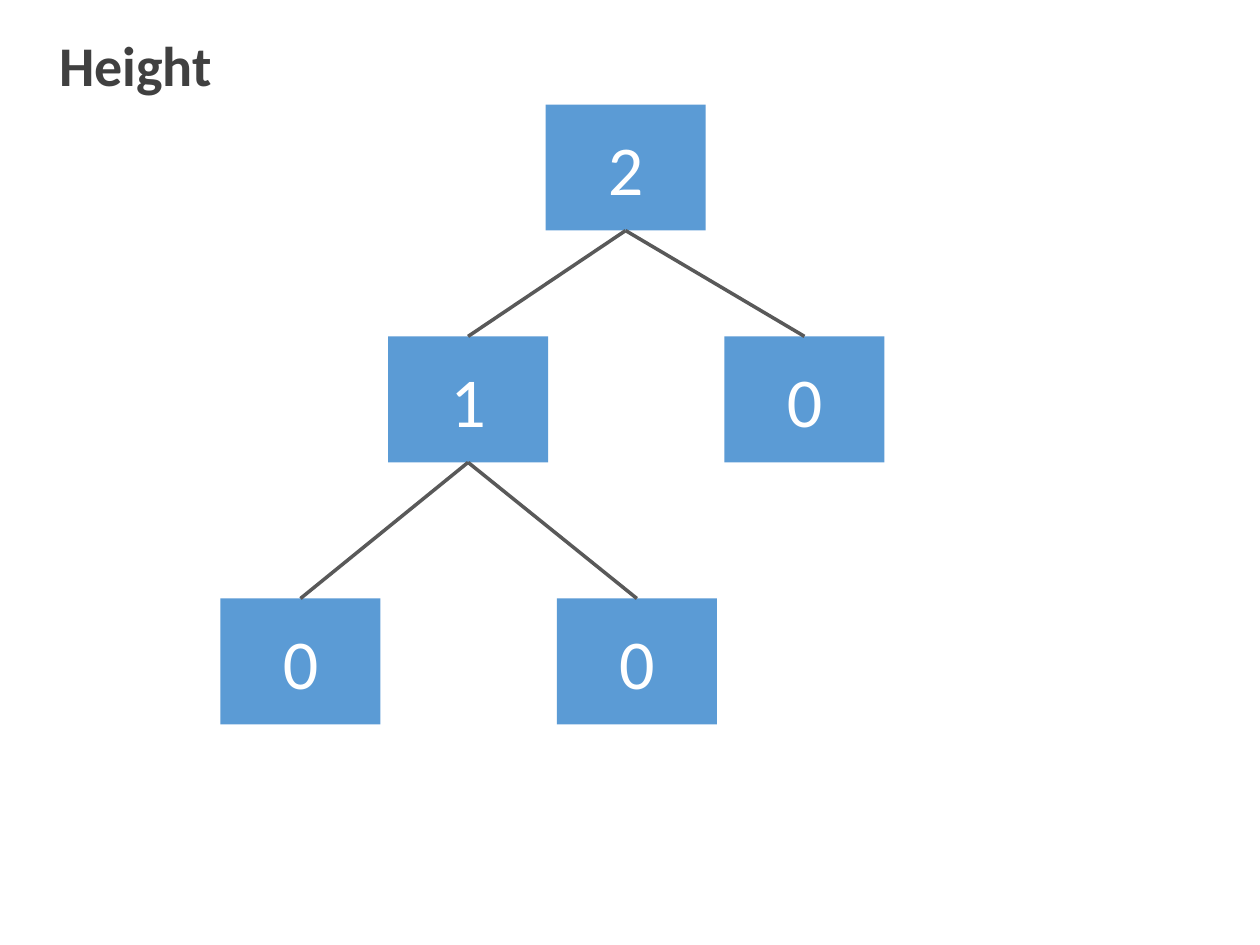
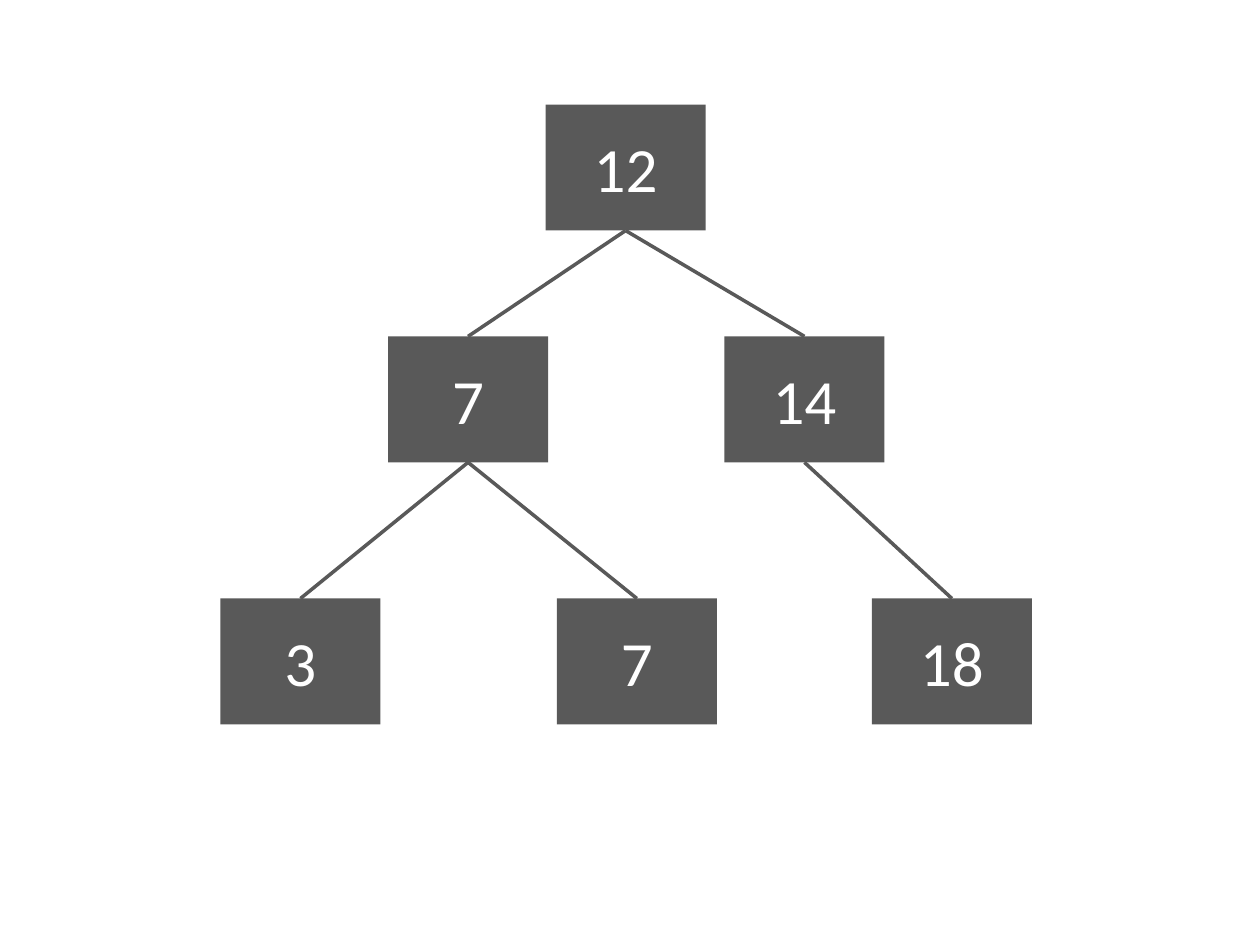
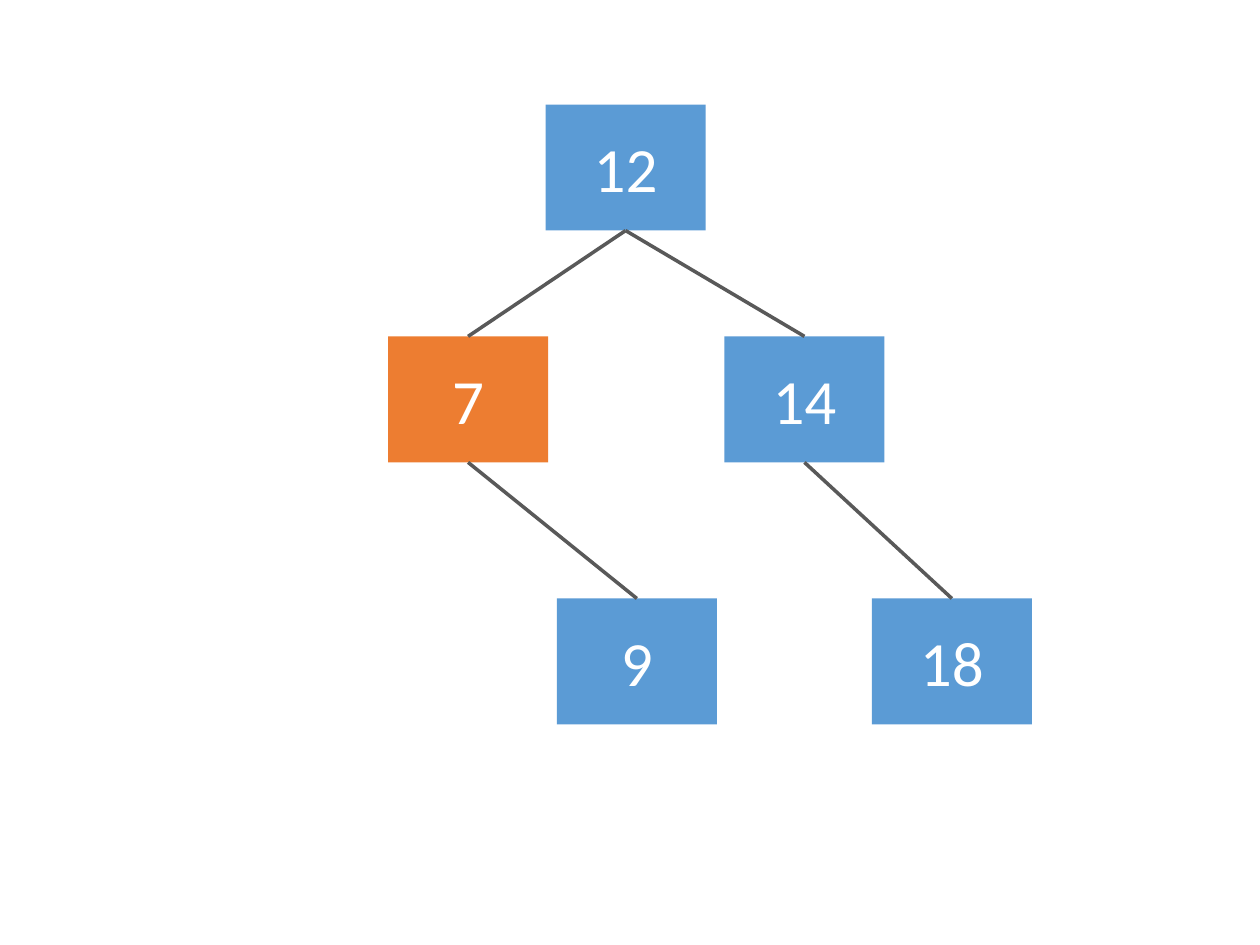
import dataclasses

import lxml.etree
import pptx
import pptx.dml.color
import pptx.enum.shapes
import pptx.enum.text
import pptx.oxml.ns
import pptx.util

Inches = pptx.util.Inches
Pt = pptx.util.Pt

FONT = "Calibri"
COLORS = {
    "blue": "5B9BD5",
    "orange": "ED7D31",
    "gray": "595959",
    "title": "404040",
    "white": "FFFFFF",
}

# Node size, and the left and top of each place in the tree
WIDTH, HEIGHT = Inches(1.27), Inches(1)
SPOTS = {
    "root": (4.33, 0.83),
    "left": (3.08, 2.67),
    "right": (5.75, 2.67),
    "left.left": (1.75, 4.75),
    "left.right": (4.42, 4.75),
    "right.right": (6.92, 4.75),
}
# Connection sites of a rectangle
TOP, BOTTOM = 0, 2


@dataclasses.dataclass
class Tree:
    nodes: dict[str, str]
    size: int
    color: str
    title: str = ""
    marked: str = ""


TREES = [
    Tree({"root": "2", "left": "1", "right": "0",
          "left.left": "0", "left.right": "0"}, 40, "blue", title="Height"),
    Tree({"root": "12", "left": "7", "right": "14",
          "left.left": "3", "left.right": "7", "right.right": "18"}, 36, "gray"),
    Tree({"root": "12", "left": "7", "right": "14",
          "left.right": "9", "right.right": "18"}, 36, "blue", marked="left"),
]


def rgb(name: str) -> pptx.dml.color.RGBColor:
    return pptx.dml.color.RGBColor.from_string(COLORS[name])


def write(frame, text: str, size: int, color: str, bold: bool = False) -> None:
    frame.text = text
    font = frame.paragraphs[0].runs[0].font
    font.name, font.size, font.bold = FONT, Pt(size), bold
    font.color.rgb = rgb(color)


def add_title(slide, text: str) -> None:
    box = slide.shapes.add_textbox(
        Inches(0.37), Inches(0.19), Inches(1.88), Inches(0.64))
    box.text_frame.word_wrap = True
    write(box.text_frame, text, 32, "title", bold=True)


def add_node(slide, spot: str, text: str, size: int, color: str):
    left, top = SPOTS[spot]
    node = slide.shapes.add_shape(
        pptx.enum.shapes.MSO_SHAPE.RECTANGLE,
        Inches(left), Inches(top), WIDTH, HEIGHT)
    node.shadow.inherit = False
    node.fill.solid()
    node.fill.fore_color.rgb = rgb(color)
    node.line.fill.background()
    frame = node.text_frame
    frame.vertical_anchor = pptx.enum.text.MSO_ANCHOR.MIDDLE
    write(frame, text, size, "white")
    frame.paragraphs[0].alignment = pptx.enum.text.PP_ALIGN.CENTER
    return node


def add_edge(slide, parent, child) -> None:
    edge = slide.shapes.add_connector(
        pptx.enum.shapes.MSO_CONNECTOR.STRAIGHT, 0, 0, 0, 0)
    edge.begin_connect(parent, BOTTOM)
    edge.end_connect(child, TOP)
    edge.line.color.rgb = rgb("gray")
    edge.line.width = Pt(2)
    # An empty effect list removes the shadow
    lxml.etree.SubElement(
        edge._element.spPr, pptx.oxml.ns.qn("a:effectLst"))


def draw_tree(slide, tree: Tree) -> None:
    nodes = {
        spot: add_node(slide, spot, text, tree.size,
                       "orange" if spot == tree.marked else tree.color)
        for spot, text in tree.nodes.items()
    }
    # Each node hangs from the one its name starts with, or from the root
    for spot, node in nodes.items():
        if spot != "root":
            parent = spot.rpartition(".")[0] or "root"
            add_edge(slide, nodes[parent], node)
    if tree.title:
        add_title(slide, tree.title)


def main() -> None:
    deck = pptx.Presentation()
    deck.slide_width, deck.slide_height = Inches(10), Inches(7.5)
    blank = deck.slide_layouts[6]
    for tree in TREES:
        draw_tree(deck.slides.add_slide(blank), tree)
    deck.save("out.pptx")


if __name__ == "__main__":
    main()
